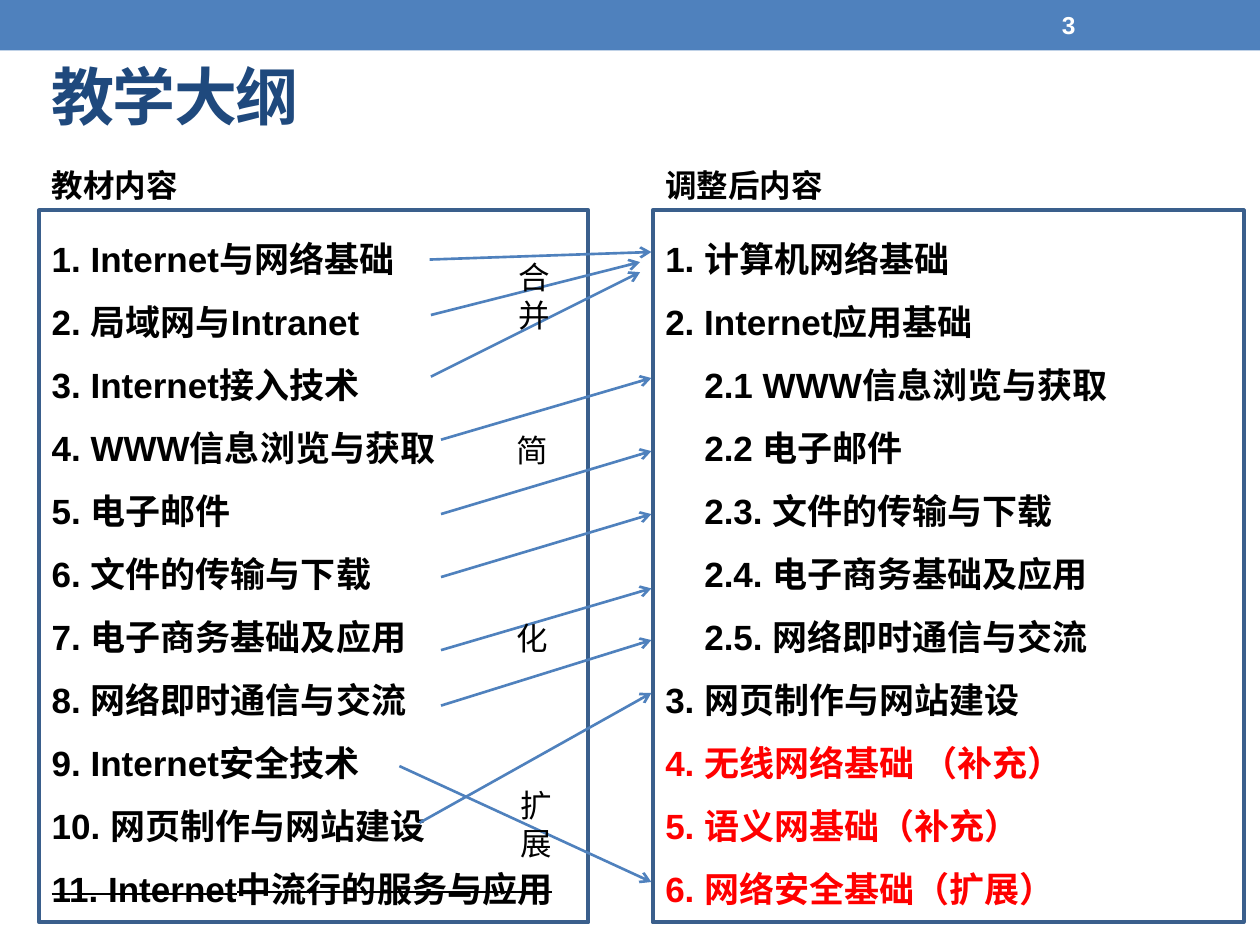
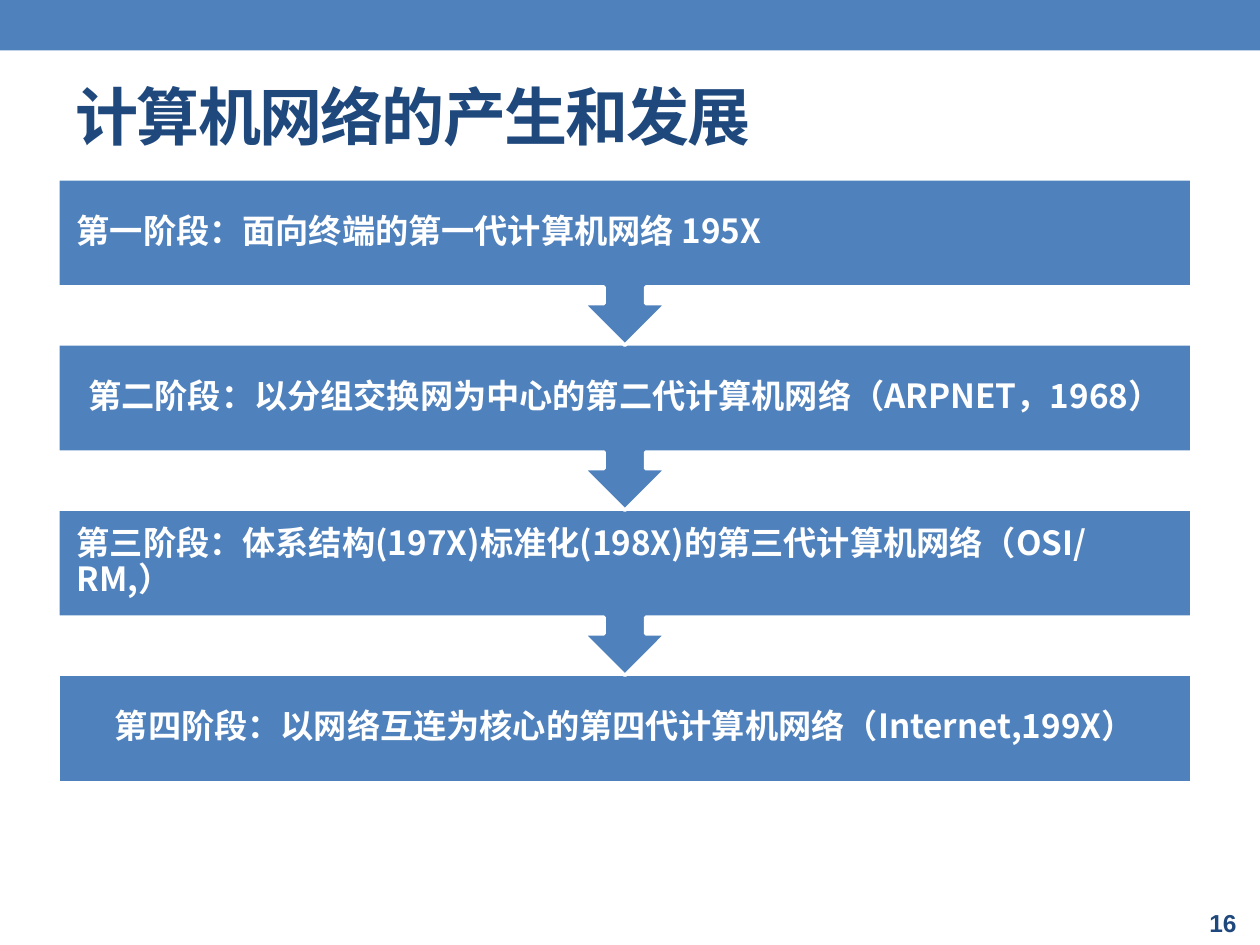
from lxml.etree import SubElement
from pptx import Presentation
from pptx.dml.color import RGBColor
from pptx.enum.shapes import MSO_CONNECTOR, MSO_SHAPE
from pptx.enum.text import MSO_ANCHOR, MSO_AUTO_SIZE, PP_ALIGN
from pptx.oxml.ns import qn
from pptx.util import Emu, Pt

PX = 9144  # 100 px to the inch
COLORS = {
    "band": "4F81BD",
    "title": "1F497D",
    "frame": "3A5F8C",
    "text": "000000",
    "added": "FF0000",
    "white": "FFFFFF",
}
LATIN, CHINESE = "Arial", "Noto Sans CJK SC"
COMPARISON_LAYOUT, TITLE_LAYOUT = 4, 5

TEXTBOOK_TOPICS = [
    "1. Internet与网络基础",
    "2. 局域网与Intranet",
    "3. Internet接入技术",
    "4. WWW信息浏览与获取",
    "5. 电子邮件",
    "6. 文件的传输与下载",
    "7. 电子商务基础及应用",
    "8. 网络即时通信与交流",
    "9. Internet安全技术",
    "10. 网页制作与网站建设",
]
DROPPED_TOPICS = ["11. Internet中流行的服务与应用"]
MAIN_TOPICS = ["1. 计算机网络基础", "2. Internet应用基础"]
SUBTOPICS = [
    "2.1 WWW信息浏览与获取",
    "2.2 电子邮件",
    "2.3. 文件的传输与下载",
    "2.4. 电子商务基础及应用",
    "2.5. 网络即时通信与交流",
]
LATER_TOPICS = ["3. 网页制作与网站建设"]
ADDED_TOPICS = ["4. 无线网络基础 （补充）", "5. 语义网基础（补充）", "6. 网络安全基础（扩展）"]

TOPIC_ARROWS = [
    (341, 206, 517, 200),
    (342, 250, 508, 208),
    (342, 299, 508, 216),
    (350, 349, 517, 300),
    (350, 408, 517, 358),
    (350, 458, 517, 408),
    (350, 516, 517, 467),
    (350, 560, 517, 508),
    (333, 653, 517, 550),
    (317, 608, 517, 700),
]
STAGES = [
    ("第一阶段：面向终端的第一代计算机网络 195X", PP_ALIGN.LEFT),
    ("第二阶段：以分组交换网为中心的第二代计算机网络（ARPNET，1968）", PP_ALIGN.CENTER),
    ("第三阶段：体系结构(197X)标准化(198X)的第三代计算机网络（OSI/RM,）", PP_ALIGN.LEFT),
    ("第四阶段：以网络互连为核心的第四代计算机网络（Internet,199X）", PP_ALIGN.CENTER),
]


def color(name):
    return RGBColor.from_string(COLORS[name])


def assign(target, values):
    for name, value in values.items():
        setattr(target, name, value)


class Deck:
    def __init__(self):
        self.presentation = Presentation()
        assign(self.presentation, {"slide_width": 1000 * PX, "slide_height": 750 * PX})
        self.slide = None

    def new_slide(self, layout, title, title_box, number, number_box, number_color):
        self.slide = self.presentation.slides.add_slide(
            self.presentation.slide_layouts[layout])
        self.shape(MSO_SHAPE.RECTANGLE, (0, 0, 1000, 40))
        self.placeholder(0, title_box, [title], MSO_ANCHOR.MIDDLE, size=36,
                         color_name="title", latin=CHINESE, spacing=-100)
        self.text_box(number_box, [number], MSO_ANCHOR.MIDDLE, size=14,
                      color_name=number_color, bold=True)

    def fill_text(self, shape, lines, anchor=MSO_ANCHOR.TOP, inset=None, **style):
        """Fill a shape; each line is a string or a (string, style changes) pair."""
        frame = shape.text_frame
        assign(frame, {"word_wrap": True, "auto_size": MSO_AUTO_SIZE.NONE,
                       "vertical_anchor": anchor})
        if inset is not None:
            sides = ("left", "top", "right", "bottom")
            assign(frame, {f"margin_{side}": Emu(inset * PX) for side in sides})
        for index, line in enumerate(lines):
            text, changes = (line, {}) if isinstance(line, str) else line
            paragraph = frame.paragraphs[0] if index == 0 else frame.add_paragraph()
            self.paragraph(paragraph, text, **{**style, **changes})

    def paragraph(self, paragraph, text, size=18, color_name="text", latin=LATIN,
                  bold=False, align=PP_ALIGN.LEFT, line_spacing=1.0, before=0,
                  indent=0, strike=False, spacing=0):
        properties = paragraph._p.get_or_add_pPr()
        properties.set("marL", str(indent * PX))
        properties.set("indent", "0")
        SubElement(properties, qn("a:buNone"))
        assign(paragraph, {"alignment": align, "line_spacing": line_spacing,
                           "space_before": Pt(before)})
        run = paragraph.add_run()
        run.text = text
        assign(run.font, {"size": Pt(size), "bold": bold, "name": latin})
        run.font.color.rgb = color(color_name)
        run_properties = run._r.get_or_add_rPr()
        SubElement(run_properties, qn("a:ea")).set("typeface", CHINESE)
        if strike:
            run_properties.set("strike", "sngStrike")
        if spacing:
            run_properties.set("spc", str(spacing))

    def placeholder(self, index, box, lines, anchor=MSO_ANCHOR.TOP, frame_color=None,
                    **style):
        shape = self.slide.placeholders[index]
        names = ("left", "top", "width", "height")
        assign(shape, {name: Emu(value * PX) for name, value in zip(names, box)})
        if frame_color:
            shape.line.color.rgb = color(frame_color)
            shape.line.width = Pt(2.25)
        self.fill_text(shape, lines, anchor, bold=True, **style)

    def text_box(self, box, lines, anchor=MSO_ANCHOR.TOP, **style):
        shape = self.slide.shapes.add_textbox(*(Emu(value * PX) for value in box))
        self.fill_text(shape, lines, anchor, **style)

    def shape(self, kind, box, outline=None):
        shape = self.slide.shapes.add_shape(kind, *(Emu(value * PX) for value in box))
        shape.shadow.inherit = False
        shape.fill.solid()
        shape.fill.fore_color.rgb = color("band")
        if outline:
            shape.line.color.rgb = color(outline)
            shape.line.width = Pt(2)
        else:
            shape.line.fill.background()
        return shape

    def arrow(self, ends):
        connector = self.slide.shapes.add_connector(
            MSO_CONNECTOR.STRAIGHT, *(Emu(value * PX) for value in ends))
        connector.line.color.rgb = color("band")
        connector.line.width = Pt(1.5)
        SubElement(connector.line._get_or_add_ln(), qn("a:tailEnd")).set("type", "arrow")
        SubElement(connector._element.spPr, qn("a:effectLst"))


def build_syllabus(deck):
    deck.new_slide(COMPARISON_LAYOUT, "教学大纲", (31, 38, 575, 75),
                   "3", (833, 2, 117, 36), "white")
    textbook = TEXTBOOK_TOPICS + [(text, {"strike": True}) for text in DROPPED_TOPICS]
    adjusted = (MAIN_TOPICS
                + [(text, {"indent": 31}) for text in SUBTOPICS]
                + LATER_TOPICS
                + [(text, {"color_name": "added"}) for text in ADDED_TOPICS])
    columns = [("教材内容", textbook, 31, 436), ("调整后内容", adjusted, 518, 469)]
    for column, (heading, topics, left, width) in enumerate(columns):
        heading_index = 2 * column + 1
        deck.placeholder(heading_index, (left, 127, 183, 40), [heading])
        deck.placeholder(heading_index + 1, (left, 167, width, 565), topics,
                         frame_color="frame", size=20, line_spacing=1.5)
    for ends in TOPIC_ARROWS:
        deck.arrow(ends)
    deck.text_box((402, 200, 62, 71), ["合并"])
    deck.text_box((400, 337, 50, 192), ["简", ("化", {"before": 86})])
    deck.text_box((403, 619, 52, 71), ["扩展"])


def build_history(deck):
    deck.new_slide(TITLE_LAYOUT, "计算机网络的产生和发展", (50, 58, 900, 67),
                   "16", (950, 714, 50, 36), "title")
    last = len(STAGES) - 1
    for index, (text, align) in reversed(list(enumerate(STAGES))):
        kind, height = ((MSO_SHAPE.RECTANGLE, 86) if index == last
                        else (MSO_SHAPE.DOWN_ARROW_CALLOUT, 132))
        stage = deck.shape(kind, (46, 142 + 131 * index, 900, height), outline="white")
        deck.fill_text(stage, [text], MSO_ANCHOR.MIDDLE, inset=15, size=19, bold=True,
                       color_name="white", latin=CHINESE, align=align, line_spacing=0.9)


def main():
    deck = Deck()
    build_syllabus(deck)
    build_history(deck)
    deck.presentation.save("out.pptx")


if __name__ == "__main__":
    main()
